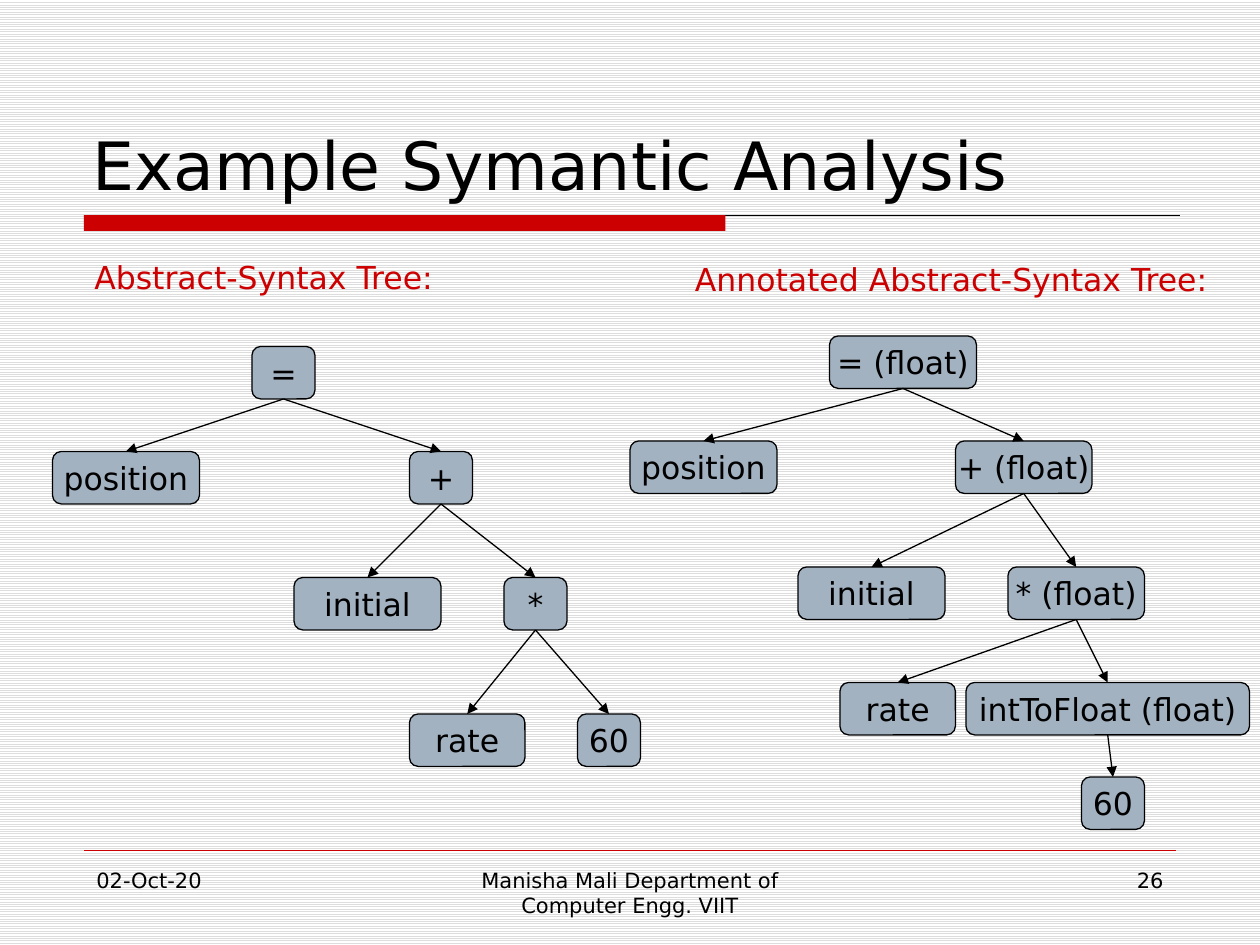
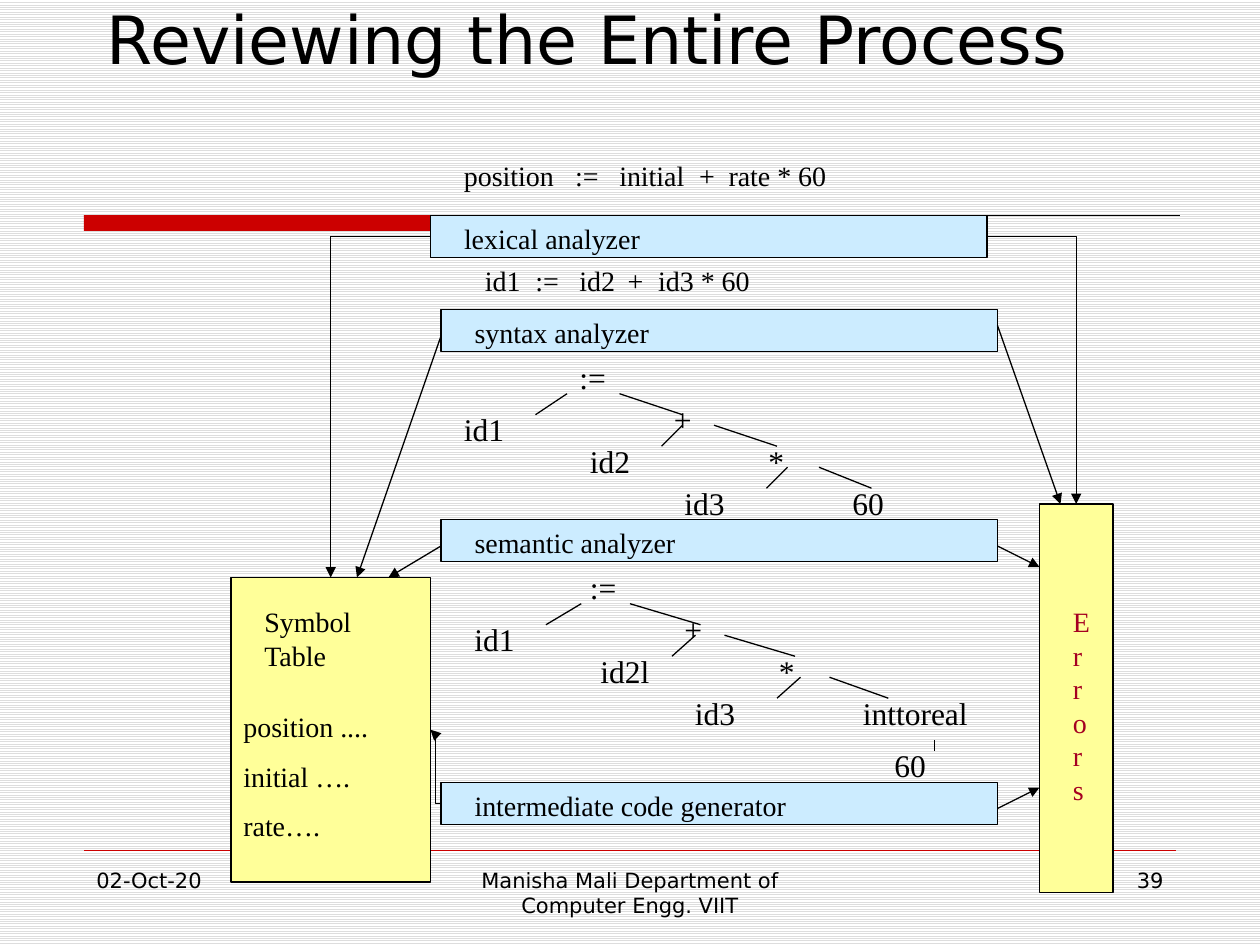
from lxml import etree
from pptx import Presentation
from pptx.dml.color import RGBColor
from pptx.enum.dml import MSO_PATTERN
from pptx.enum.shapes import MSO_CONNECTOR as LINK, MSO_SHAPE as SHAPE
from pptx.enum.text import MSO_ANCHOR as ANCHOR, PP_ALIGN as ALIGN
from pptx.oxml.ns import qn
from pptx.util import Cm, Pt

# All places are in grid units, twelve to 2.54 cm; the slide is 120 by 90 units.
GRID = Cm(2.54) / 12

BLACK = RGBColor(0x00, 0x00, 0x00)
WHITE = RGBColor(0xFF, 0xFF, 0xFF)
STRIPE = RGBColor(0xDD, 0xDD, 0xDD)
RED = RGBColor(0xCC, 0x00, 0x00)
DARK_RED = RGBColor(0xA5, 0x00, 0x21)
SLATE = RGBColor(0xA3, 0xB2, 0xC1)
PALE_BLUE = RGBColor(0xCC, 0xEC, 0xFF)
PALE_YELLOW = RGBColor(0xFF, 0xFF, 0x99)
SANS = "DejaVu Sans"
SERIF = "Times New Roman"

DATE = "02-Oct-20"
AUTHOR = "Manisha Mali Department of Computer Engg. VIIT"

# Tree nodes: key -> (label, left, top, width, parent key)
NODE_HEIGHT = 5
ABSTRACT_TREE = {
    "assign": ("=", 24, 33, 6, None),
    "position": ("position", 5, 43, 14, "assign"),
    "plus": ("+", 39, 43, 6, "assign"),
    "initial": ("initial", 28, 55, 14, "plus"),
    "times": ("*", 48, 55, 6, "plus"),
    "rate": ("rate", 39, 68, 11, "times"),
    "sixty": ("60", 55, 68, 6, "times"),
}
ANNOTATED_TREE = {
    "assign": ("= (float)", 79, 32, 14, None),
    "position": ("position", 60, 42, 14, "assign"),
    "plus": ("+ (float)", 91, 42, 13, "assign"),
    "initial": ("initial", 76, 54, 14, "plus"),
    "times": ("* (float)", 96, 54, 13, "plus"),
    "rate": ("rate", 80, 65, 11, "times"),
    "convert": ("intToFloat (float)", 92, 65, 27, "times"),
    "sixty": ("60", 103, 74, 6, "convert"),
}
# (heading, left, top, width, tree)
TREES = [
    ("Abstract-Syntax Tree:", 7.8, 24, 35.9, ABSTRACT_TREE),
    ("Annotated Abstract-Syntax Tree:", 65, 24.2, 52.3, ANNOTATED_TREE),
]

# (text, left, top)
PHASES = [
    ("lexical analyzer", 41, 20.5),
    ("syntax analyzer", 42, 29.5),
    ("semantic analyzer", 42, 49.5),
    ("intermediate code generator", 42, 74.5),
]
# (tokens, left, top, tab stops)
STATEMENTS = [
    (["position", ":=", "initial", "+", "rate * 60"], 43, 14.5,
     [10.6, 14.8, 22.4, 25.2]),
    (["id1", ":=", "id2", "+", "id3 * 60"], 45, 24.5, [4.8, 9, 13.6, 16.5]),
]
# Both parse trees share these spots; the semantic one is moved and stretched.
LABEL_SPOTS = [(54, 33.5), (43, 38.5), (55, 41.5), (64, 45.5),
               (63, 37.5), (72, 41.5), (80, 45.5)]
# (left, top, width, leans right going down)
BRANCHES = [(51, 37.5, 3, False), (59, 37.5, 6, True), (68, 40.5, 6, True),
            (78, 44.5, 5, True), (73, 44.5, 2, False), (63, 40.5, 2, False)]
BRANCH_DROP = 2
SYNTAX_LABELS = [(":=", 8), ("id1", 15), ("id2", 15), ("id3", 15),
                 ("+", 8), ("*", 8), ("60", 8)]
SEMANTIC_LABELS = [(":=", 9), ("id1", 17), ("id2l", 17), ("id3", 17),
                   ("+", 9), ("*", 9), ("inttoreal", 16)]
# (labels, shift right, shift down, branch stretch)
PARSE_TREES = [(SYNTAX_LABELS, 0, 0, 1), (SEMANTIC_LABELS, 1, 20, 1.12)]

SYMBOLS = ["position ....", "initial ….", "rate…."]
STRAIGHT_FLOWS = [
    ((42, 32), (34, 55)), ((42, 52), (37, 55)), ((95, 77), (99, 75)),
    ((95, 52), (99, 54)), ((95, 31), (101, 48)),
]
CORNER_FLOWS = [((41, 22.5), (31.5, 55)), ((94, 22.5), (102.5, 48))]
STEP_FLOW = ((42, 76.5), (41, 69.5))


def grid(*units):
    return [round(unit * GRID) for unit in units]


def write(frame, lines, size, font=SANS, color=BLACK, align=ALIGN.LEFT,
          gap=0, tabs=()):
    """Fill a text frame, one paragraph a line, with gap points between."""
    for index, line in enumerate(lines):
        paragraph = frame.paragraphs[0] if index == 0 else frame.add_paragraph()
        paragraph.text = line
        paragraph.alignment = align
        if tabs:
            stops = etree.SubElement(paragraph._p.get_or_add_pPr(), qn("a:tabLst"))
            for stop in grid(*tabs):
                etree.SubElement(stops, qn("a:tab"), pos=str(stop), algn="l")
        if index and gap:
            paragraph.space_before = Pt(gap)
        paragraph.font.size = Pt(size)
        paragraph.font.name = font
        paragraph.font.color.rgb = color


def add_text(slide, lines, place, size, wrap=True, anchor=ANCHOR.TOP, **style):
    frame = slide.shapes.add_textbox(*grid(*place)).text_frame
    frame.word_wrap = wrap
    frame.vertical_anchor = anchor
    write(frame, lines, size, **style)


def add_box(slide, place, fill, kind=SHAPE.RECTANGLE, outlined=True):
    box = slide.shapes.add_shape(kind, *grid(*place))
    box.shadow.inherit = False
    box.fill.solid()
    box.fill.fore_color.rgb = fill
    if outlined:
        box.line.color.rgb = BLACK
        box.line.width = Pt(0.75)
    else:
        box.line.fill.background()
    return box


def add_line(slide, start, end, color=BLACK, width=0.75, arrow=False,
             kind=LINK.STRAIGHT):
    line = slide.shapes.add_connector(kind, *grid(*start, *end))
    line.line.color.rgb = color
    line.line.width = Pt(width)
    properties = line._element.spPr
    if arrow:
        etree.SubElement(properties.find(qn("a:ln")), qn("a:tailEnd"), type="triangle")
    etree.SubElement(properties, qn("a:effectLst"))
    return line


def add_corner_arrow(slide, start, end):
    """Arrow that runs level from start, then turns once down to end."""
    arrow = add_line(slide, start, end, arrow=True, kind=LINK.ELBOW)
    arrow._element.spPr.find(qn("a:prstGeom")).set("prst", "bentConnector2")


def start_slide(prs, title, left, top, number):
    slide = prs.slides.add_slide(prs.slide_layouts[6])
    add_line(slide, (8, 20.5), (112.4, 20.5))
    add_box(slide, (8, 20.5, 61.1, 1.5), RED, outlined=False)
    add_line(slide, (8, 81), (112, 81), RED, 0.25)
    add_text(slide, [title], (left, top, 105, 16), 38, anchor=ANCHOR.BOTTOM)
    for text, x, width, align in [(DATE, 8, 26, ALIGN.LEFT),
                                  (AUTHOR, 41, 38, ALIGN.CENTER),
                                  (str(number), 86, 26, ALIGN.RIGHT)]:
        add_text(slide, [text], (x, 82, width, 6.25), 12, align=align)
    return slide


def add_node_tree(slide, tree):
    for label, left, top, width, parent in tree.values():
        node = add_box(slide, (left, top, width, NODE_HEIGHT), SLATE,
                       SHAPE.ROUNDED_RECTANGLE)
        node.text_frame.word_wrap = False
        node.text_frame.vertical_anchor = ANCHOR.MIDDLE
        write(node.text_frame, [label], 18, align=ALIGN.CENTER)
        if parent:
            _, parent_left, parent_top, parent_width, _ = tree[parent]
            add_line(slide,
                     (parent_left + parent_width / 2, parent_top + NODE_HEIGHT),
                     (left + width / 2, top), arrow=True)


def add_parse_tree(slide, labels, right, down, stretch):
    for (label, width), (x, y) in zip(labels, LABEL_SPOTS):
        add_text(slide, [label], (x + right, y + down, width, 4.8), 18, font=SERIF)
    for x, y, width, leans_right in BRANCHES:
        near, far = x + right, x + right + width * stretch
        if not leans_right:
            near, far = far, near
        add_line(slide, (near, y + down), (far, y + down + BRANCH_DROP))


def build_semantic_slide(prs):
    slide = start_slide(prs, "Example Symantic Analysis", 7.6, 4, 26)
    for heading, left, top, width, tree in TREES:
        add_text(slide, [heading], (left, top, width, 4.8), 18, wrap=False, color=RED)
        add_node_tree(slide, tree)


def build_review_slide(prs):
    slide = start_slide(prs, "Reviewing the Entire Process", 9, -8, 39)
    add_box(slide, (99, 48, 7, 37), PALE_YELLOW)
    add_text(slide, ["Errors"], (101, 57, 4, 20.4), 16, font=SERIF, color=DARK_RED)

    for tokens, left, top, tabs in STATEMENTS:
        add_text(slide, ["\t".join(tokens)], (left, top, 46, 4.4), 16,
                 font=SERIF, tabs=tabs)
    for text, left, top in PHASES:
        frame = add_box(slide, (left, top, 53, 4), PALE_BLUE).text_frame
        frame.vertical_anchor = ANCHOR.TOP
        frame.margin_left, frame.margin_top, frame.margin_bottom = grid(3.2, 0.6, 0)
        write(frame, [text], 16, font=SERIF)

    for parse_tree in PARSE_TREES:
        add_parse_tree(slide, *parse_tree)
    add_text(slide, ["60"], (84, 70.5, 10, 4.8), 18, font=SERIF)
    add_line(slide, (89, 70.5), (89, 71.5))

    add_box(slide, (22, 55, 19, 29), PALE_YELLOW)
    add_text(slide, ["Symbol Table"], (24, 57, 13, 7.6), 16, font=SERIF)
    add_text(slide, SYMBOLS, (22, 67, 19, 14), 16, font=SERIF, gap=9)

    for start, end in STRAIGHT_FLOWS:
        add_line(slide, start, end, arrow=True)
    for start, end in CORNER_FLOWS:
        add_corner_arrow(slide, start, end)
    add_line(slide, *STEP_FLOW, arrow=True, kind=LINK.ELBOW)


def main():
    prs = Presentation()
    prs.slide_width, prs.slide_height = grid(120, 90)
    backdrop = prs.slide_master.background.fill
    backdrop.patterned()
    backdrop.pattern = MSO_PATTERN.LIGHT_HORIZONTAL
    backdrop.fore_color.rgb = STRIPE
    backdrop.back_color.rgb = WHITE
    build_semantic_slide(prs)
    build_review_slide(prs)
    prs.save("out.pptx")


if __name__ == "__main__":
    main()
